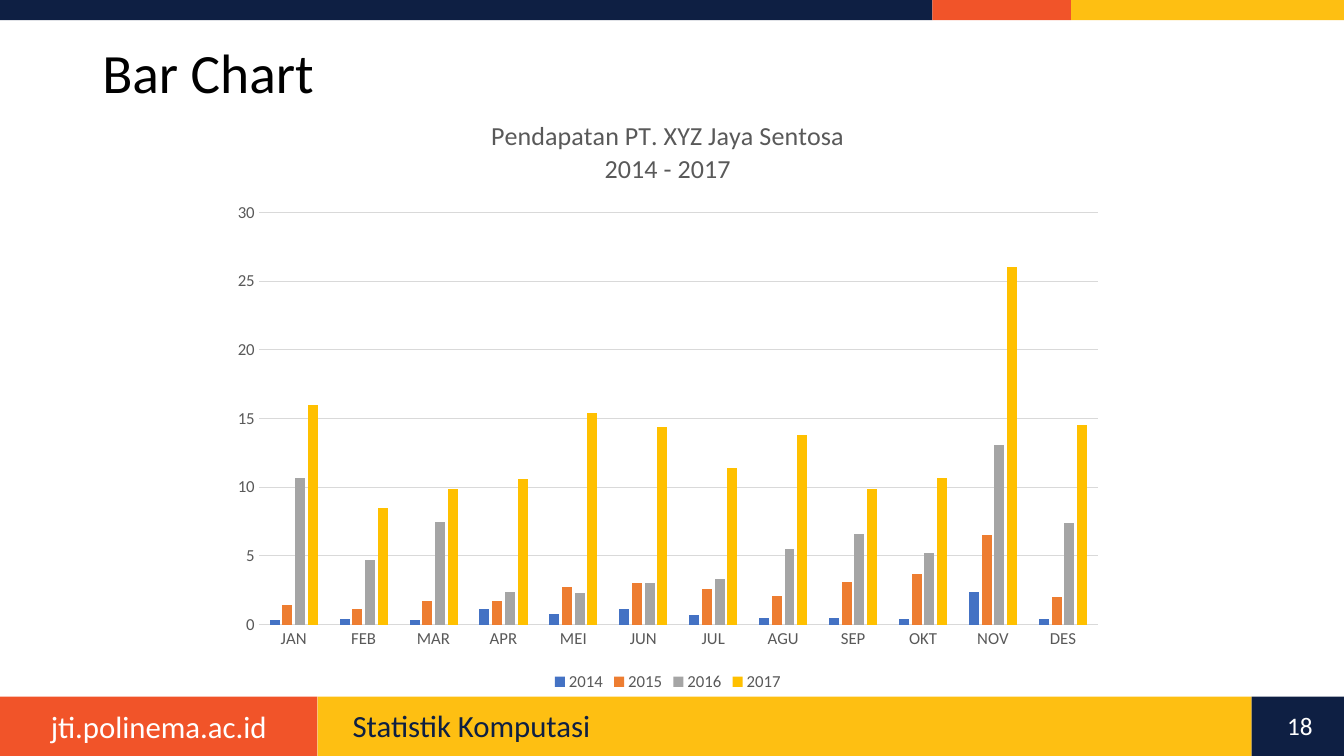
from pptx import Presentation
from pptx.chart.data import CategoryChartData
from pptx.dml.color import RGBColor
from pptx.enum.chart import XL_CHART_TYPE, XL_LEGEND_POSITION, XL_TICK_MARK
from pptx.enum.shapes import MSO_SHAPE
from pptx.enum.text import MSO_ANCHOR, PP_ALIGN
from pptx.util import Pt

RECT = MSO_SHAPE.RECTANGLE
COLUMN = XL_CHART_TYPE.COLUMN_CLUSTERED
BOTTOM = XL_LEGEND_POSITION.BOTTOM
NO_TICK = XL_TICK_MARK.NONE
TOP, MIDDLE = MSO_ANCHOR.TOP, MSO_ANCHOR.MIDDLE
LEFT, CENTER = PP_ALIGN.LEFT, PP_ALIGN.CENTER

FONT = "Calibri"
NAVY, ORANGE, YELLOW = "0E1F43", "F15429", "FEBF12"
WHITE, BLACK, GREY, RULE = "FFFFFF", "000000", "595959", "D9D9D9"
WIDTH, HEIGHT = 960, 540

MONTHS = "JAN FEB MAR APR MEI JUN JUL AGU SEP OKT NOV DES".split()
SALES = [
    ("2014", "4472C4",
     [0.3, 0.4, 0.3, 1.1, 0.8, 1.1, 0.7, 0.5, 0.5, 0.4, 2.4, 0.4]),
    ("2015", "ED7D31",
     [1.4, 1.1, 1.7, 1.7, 2.7, 3, 2.6, 2.1, 3.1, 3.7, 6.5, 2]),
    ("2016", "A5A5A5",
     [10.7, 4.7, 7.5, 2.4, 2.3, 3, 3.3, 5.5, 6.6, 5.2, 13.1, 7.4]),
    ("2017", "FFC000",
     [16, 8.5, 9.9, 10.6, 15.4, 14.4, 11.4, 13.8, 9.9, 10.7, 26, 14.5]),
]


def rgb(code):
    return RGBColor.from_string(code)


def style(font, size, color):
    font.name = FONT
    font.size = Pt(size)
    font.bold = False
    font.color.rgb = rgb(color)


def add_band(slide, top, height, edges, colors):
    """Draw a row of colour blocks between successive edges."""
    for left, right, color in zip(edges, edges[1:], colors):
        block = slide.shapes.add_shape(
            RECT, Pt(left), Pt(top), Pt(right - left), Pt(height))
        block.shadow.inherit = False
        block.fill.solid()
        block.fill.fore_color.rgb = rgb(color)
        block.line.fill.background()


def add_text(slide, box, text, size, color,
             align=LEFT, anchor=TOP, spacing=1.0):
    frame = slide.shapes.add_textbox(*map(Pt, box)).text_frame
    frame.word_wrap = True
    frame.vertical_anchor = anchor
    para = frame.paragraphs[0]
    para.text = text
    para.alignment = align
    para.line_spacing = spacing
    style(para.font, size, color)


def set_rule(line):
    line.color.rgb = rgb(RULE)
    line.width = Pt(0.75)


def set_axes(chart):
    for axis in (chart.category_axis, chart.value_axis):
        axis.major_tick_mark = axis.minor_tick_mark = NO_TICK
        style(axis.tick_labels.font, 12, GREY)
    set_rule(chart.category_axis.format.line)
    scale = chart.value_axis
    scale.minimum_scale, scale.maximum_scale = 0, 30
    scale.major_unit = 5
    scale.format.line.fill.background()
    set_rule(scale.major_gridlines.format.line)


def add_columns(slide, box, title):
    data = CategoryChartData()
    data.categories = MONTHS
    for year, _, values in SALES:
        data.add_series(year, values)
    chart = slide.shapes.add_chart(COLUMN, *map(Pt, box), data).chart
    style(chart.font, 10, BLACK)

    # Title, one paragraph a line
    chart.has_title = True
    frame = chart.chart_title.text_frame
    frame.text = title
    for para in frame.paragraphs:
        style(para.font, 18.6, GREY)
    chart.chart_title.include_in_layout = False

    # Legend
    chart.has_legend = True
    chart.legend.position = BOTTOM
    chart.legend.include_in_layout = False
    style(chart.legend.font, 12, GREY)

    # Columns
    set_axes(chart)
    plot = chart.plots[0]
    plot.vary_by_categories = False
    plot.gap_width, plot.overlap = 219, -27
    for series, (_, color, _) in zip(plot.series, SALES):
        series.format.fill.solid()
        series.format.fill.fore_color.rgb = rgb(color)


def main():
    prs = Presentation()
    prs.slide_width, prs.slide_height = Pt(WIDTH), Pt(HEIGHT)
    slide = prs.slides.add_slide(prs.slide_layouts[6])

    # Top and bottom bands
    add_band(slide, 0, 14.4, (0, 666, 765, WIDTH), (NAVY, ORANGE, YELLOW))
    add_band(slide, 497.5, 42.5, (0, 226.8, 894, WIDTH),
             (ORANGE, YELLOW, NAVY))

    # Footer
    add_text(slide, (0, 502, 226.8, 34), "jti.polinema.ac.id",
             22, WHITE, CENTER)
    add_text(slide, (244.8, 504, 629, 29), "Statistik Komputasi",
             22, NAVY, spacing=0.9)
    add_text(slide, (906.5, 504, 44, 29), "18", 18, WHITE, CENTER)

    # Title and chart
    add_text(slide, (66, 29, 737, 50), "Bar Chart", 39.6, BLACK,
             anchor=MIDDLE, spacing=0.9)
    add_columns(slide, (157, 70, 640, 427),
                "Pendapatan PT. XYZ Jaya Sentosa\n2014 - 2017")
    prs.save("out.pptx")


if __name__ == "__main__":
    main()
